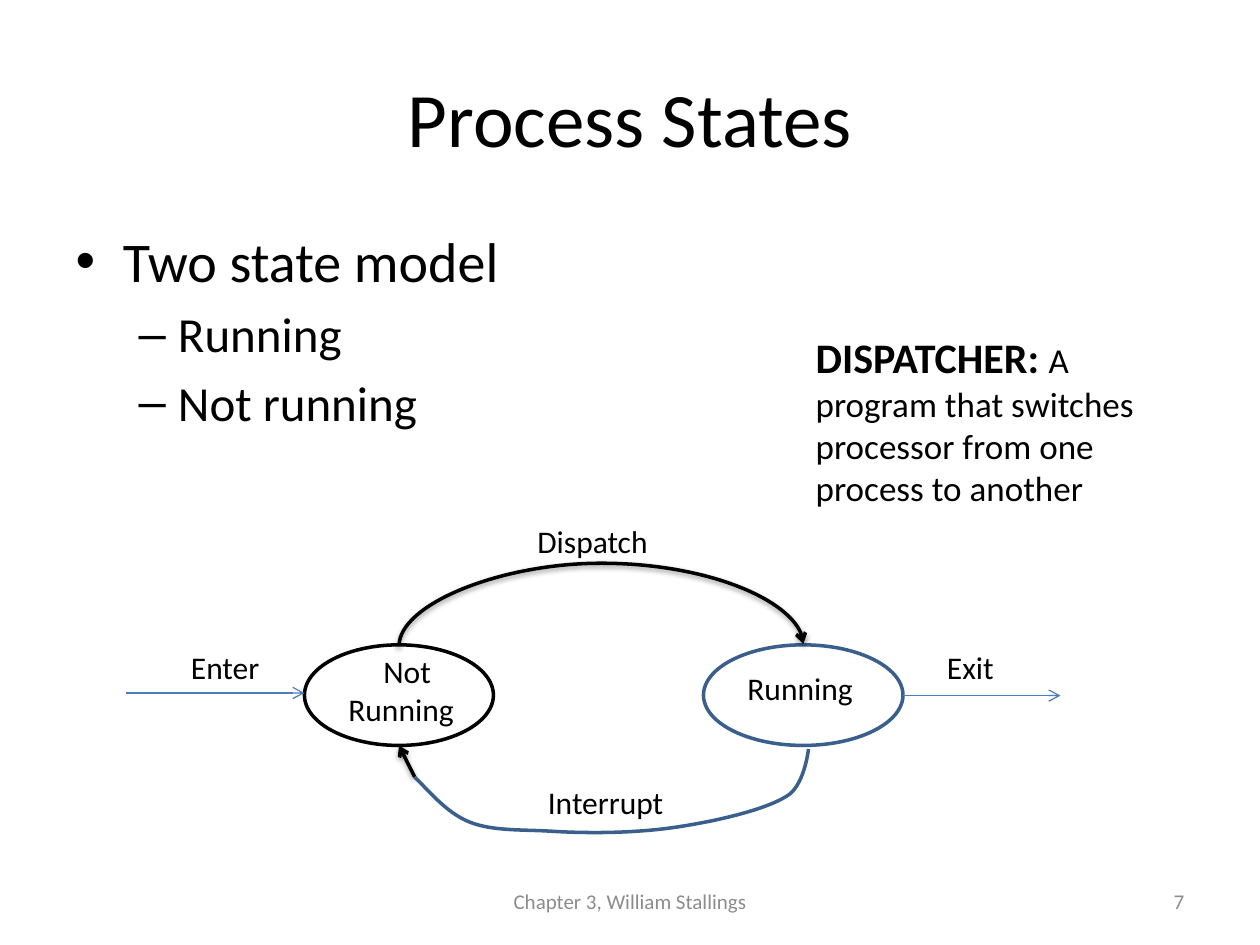
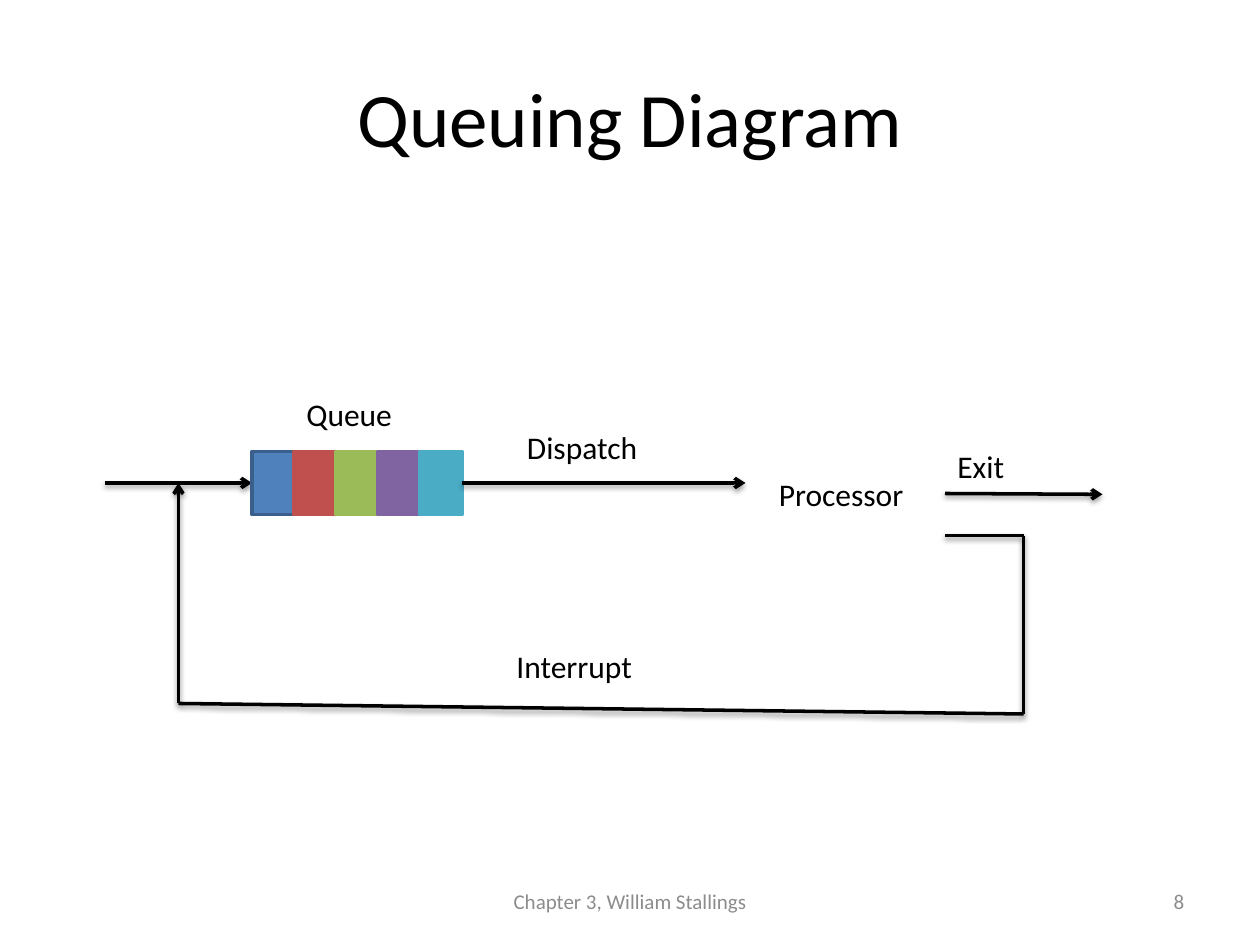
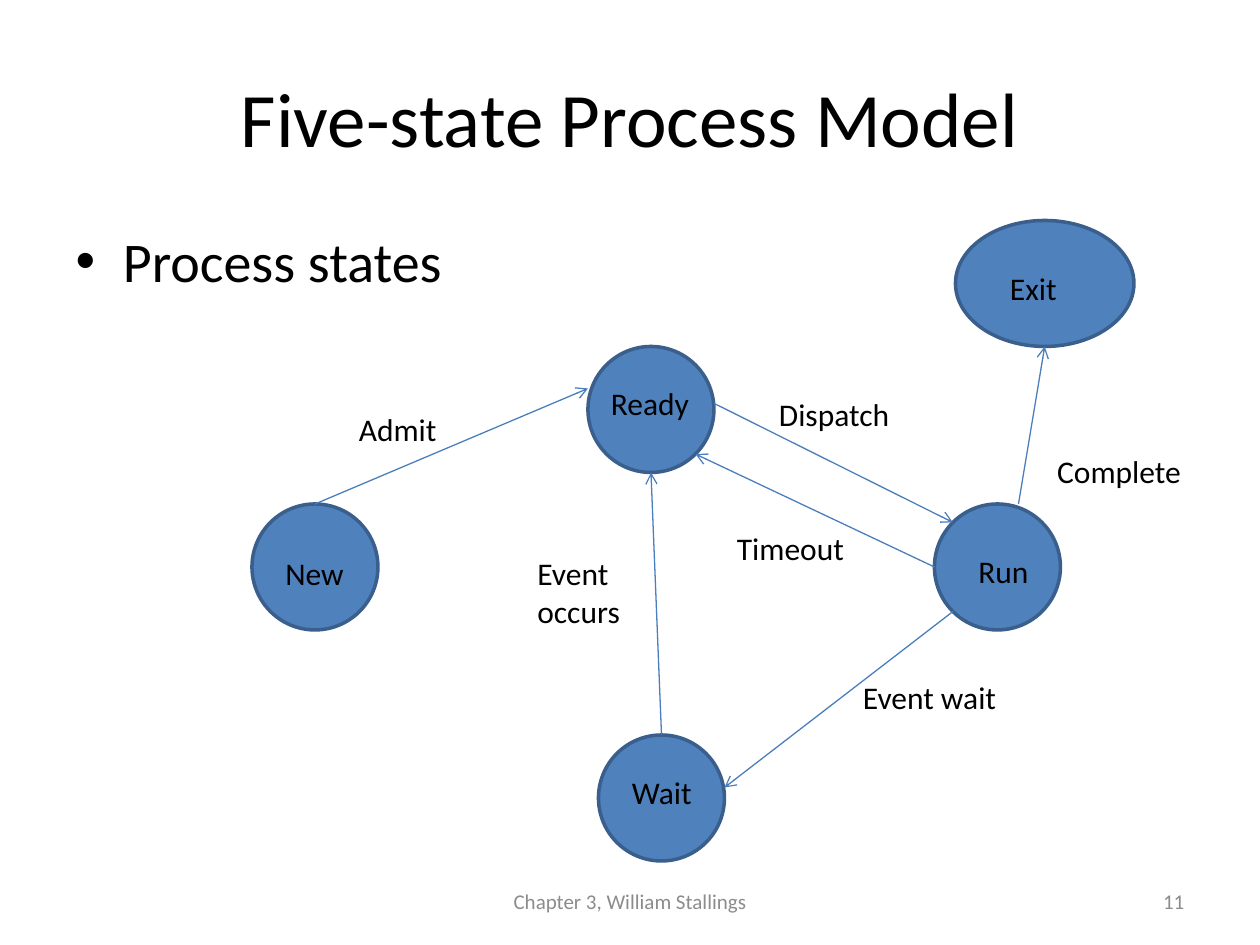
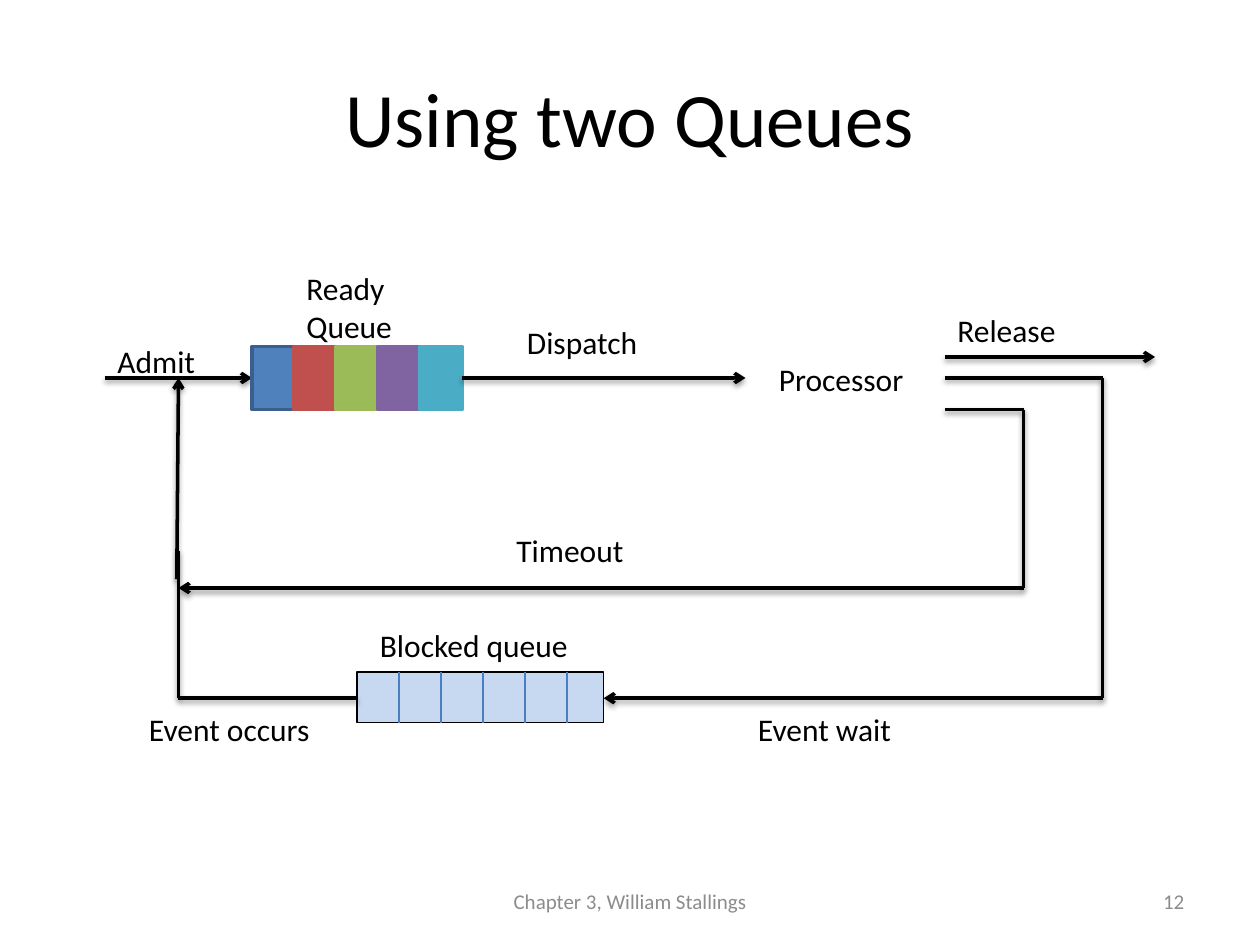
import copy

import lxml.etree
import pptx
import pptx.dml.color
import pptx.enum.shapes
import pptx.enum.text
import pptx.oxml
import pptx.oxml.ns
import pptx.util

Pt = pptx.util.Pt
RGBColor = pptx.dml.color.RGBColor
SHAPE = pptx.enum.shapes.MSO_SHAPE
CONNECTOR = pptx.enum.shapes.MSO_CONNECTOR
PLACEHOLDER = pptx.enum.shapes.PP_PLACEHOLDER
ALIGN = pptx.enum.text.PP_ALIGN
ANCHOR = pptx.enum.text.MSO_ANCHOR
qn = pptx.oxml.ns.qn

# Shared style
FONT = "Calibri"
FOOTER_TEXT = "Chapter 3, William Stallings"
BLACK = RGBColor(0x00, 0x00, 0x00)
WHITE = RGBColor(0xFF, 0xFF, 0xFF)
GREY = RGBColor(0x8C, 0x8C, 0x8C)
BLUE = RGBColor(0x4F, 0x81, 0xBD)
DARK_BLUE = RGBColor(0x3A, 0x5F, 0x8C)
LINE_BLUE = RGBColor(0x4B, 0x7E, 0xBC)
PALE_BLUE = RGBColor(0xC6, 0xD9, 0xF1)
RED = RGBColor(0xC0, 0x50, 0x4D)
GREEN = RGBColor(0x9B, 0xBB, 0x59)
PURPLE = RGBColor(0x80, 0x64, 0xA2)
AQUA = RGBColor(0x4B, 0xAC, 0xC6)

TITLE_AND_CONTENT, TITLE_ONLY = 1, 5
LABEL_HEIGHT, TWO_LINES = 29, 51
CELL_WIDTH, CELL_HEIGHT = 24, 36
BULLET_SIZES = (32, 28)

SHADOW = (
    '<a:effectLst %s><a:outerShdw blurRad="39370" dist="20320" dir="5400000" rotWithShape="0">'
    '<a:srgbClr val="000000"><a:alpha val="38000"/></a:srgbClr></a:outerShdw></a:effectLst>'
    % pptx.oxml.ns.nsdecls("a")
)


def place(shape, left, top, width, height):
    shape.left, shape.top = Pt(left), Pt(top)
    shape.width, shape.height = Pt(width), Pt(height)


def set_font(font, size, color=BLACK):
    font.name, font.size = FONT, Pt(size)
    font.color.rgb = color


def add_slide(presentation, layout_index, title, number):
    """Add a slide with its title, footer and slide number."""
    layout = presentation.slide_layouts[layout_index]
    slide = presentation.slides.add_slide(layout)
    slide.shapes.title.text = title
    place(slide.shapes.title, 36, 21.6, 648, 90)
    paragraph = slide.shapes.title.text_frame.paragraphs[0]
    paragraph.alignment = ALIGN.CENTER
    set_font(paragraph.font, 44)

    footers = {
        PLACEHOLDER.FOOTER: (FOOTER_TEXT, 246, 228, ALIGN.CENTER),
        PLACEHOLDER.SLIDE_NUMBER: (str(number), 516, 168, ALIGN.RIGHT),
    }
    for source in layout.placeholders:
        kind = source.placeholder_format.type
        if kind not in footers:
            continue
        text, left, width, alignment = footers[kind]
        slide.shapes._spTree.append(copy.deepcopy(source._element))
        footer = slide.shapes[-1]
        place(footer, left, 500.5, width, 28.75)
        footer.text_frame.text = text
        paragraph = footer.text_frame.paragraphs[0]
        paragraph.alignment = alignment
        set_font(paragraph.font, 12, GREY)
    return slide


def fill_body(slide, height, items):
    """Write (level, text) items into the body placeholder."""
    body = slide.placeholders[1]
    place(body, 36, 126, 648, height)
    frame = body.text_frame
    frame.text = "\n".join(text for level, text in items)
    frame.auto_size = pptx.enum.text.MSO_AUTO_SIZE.NONE
    for paragraph, (level, text) in zip(frame.paragraphs, items):
        paragraph.level = level
        set_font(paragraph.font, BULLET_SIZES[level])


def add_label(slide, text, left, top, width, height=LABEL_HEIGHT, indent=0):
    """Add a text box; indent moves the first line in."""
    label = slide.shapes.add_textbox(Pt(left), Pt(top), Pt(width), Pt(height))
    label.text_frame.word_wrap = True
    paragraph = label.text_frame.paragraphs[0]
    paragraph.text = text
    set_font(paragraph.font, 18)
    if indent:
        paragraph._p.get_or_add_pPr().set("indent", str(Pt(indent)))
    return label


def add_shape(slide, kind, left, top, width, height, fill, line, line_width=2):
    shape = slide.shapes.add_shape(kind, Pt(left), Pt(top), Pt(width), Pt(height))
    shape.shadow.inherit = False
    shape.fill.solid()
    shape.fill.fore_color.rgb = fill
    shape.line.color.rgb = line
    shape.line.width = Pt(line_width)
    return shape


def add_line(slide, start, end, heavy=False, arrow=True, kind=CONNECTOR.STRAIGHT):
    """Add a thin blue line, or a heavy black one with a shadow."""
    connector = slide.shapes.add_connector(kind, *(Pt(value) for value in start + end))
    connector.line.color.rgb = BLACK if heavy else LINE_BLUE
    connector.line.width = Pt(2 if heavy else 0.75)
    if arrow:
        line = connector.line._get_or_add_ln()
        lxml.etree.SubElement(line, qn("a:tailEnd"), type="arrow")
    properties = connector._element.spPr
    if heavy:
        properties.append(pptx.oxml.parse_xml(SHADOW))
    else:
        lxml.etree.SubElement(properties, qn("a:effectLst"))
    return connector


def add_route(slide, points, arrow=True):
    """Join points with heavy lines; the last one may carry the arrowhead."""
    last = len(points) - 2
    for index, (start, end) in enumerate(zip(points, points[1:])):
        add_line(slide, start, end, heavy=True, arrow=arrow and index == last)


def add_arc(slide, start_x, end_x, base, rise):
    """Add a curved arrow that rises from one state and falls to the next."""
    middle, half = (start_x + end_x) / 2, (end_x - start_x) / 2
    # Upright connector, one point wide, turned on its side
    arc = add_line(slide, (middle - 0.5, base - half), (middle + 0.5, base + half),
                   heavy=True, kind=CONNECTOR.CURVE)
    frame = arc._element.spPr.find(qn("a:xfrm"))
    for name, value in (("rot", "5400000"), ("flipH", "1"), ("flipV", "1")):
        frame.set(name, value)
    geometry = arc._element.spPr.find(qn("a:prstGeom"))
    adjustments = geometry.find(qn("a:avLst"))
    if adjustments is None:
        adjustments = lxml.etree.SubElement(geometry, qn("a:avLst"))
    lxml.etree.SubElement(adjustments, qn("a:gd"), name="adj1",
                          fmla="val %d" % (rise * 100000))


def add_curve(slide, start, points, color):
    """Add an open curve; every three points make one cubic segment."""
    builder = slide.shapes.build_freeform(*start, scale=Pt(1))
    builder.add_line_segments(points, close=False)
    curve = builder.convert_to_shape()
    curve.shadow.inherit = False
    curve.fill.background()
    curve.line.color.rgb = color
    curve.line.width = Pt(2)
    outline = next(curve._element.iter(qn("a:path")))
    segments = outline.findall(qn("a:lnTo"))
    for index in range(0, len(segments), 3):
        cubic = lxml.etree.SubElement(outline, qn("a:cubicBezTo"))
        for segment in segments[index:index + 3]:
            cubic.append(segment[0])
            outline.remove(segment)


def add_ready_queue(slide, axis, processor_top):
    """Draw the entry arrow, coloured queue, dispatch arrow and processor."""
    left = 144
    add_line(slide, (60, axis), (left, axis), heavy=True)
    borders = (DARK_BLUE, RED, GREEN, PURPLE, AQUA)
    for index, fill in enumerate((BLUE, RED, GREEN, PURPLE, AQUA)):
        add_shape(slide, SHAPE.RECTANGLE, left + index * CELL_WIDTH, axis - CELL_HEIGHT / 2,
                  CELL_WIDTH, CELL_HEIGHT, fill, borders[index])
    add_line(slide, (left + 5 * CELL_WIDTH, axis), (426, axis), heavy=True)
    add_label(slide, "Dispatch", 294, axis - 35, 84)
    processor = add_label(slide, "Processor", 426, processor_top, 114, 73, indent=12)
    processor.text_frame.vertical_anchor = ANCHOR.MIDDLE


def build_process_states(presentation):
    slide = add_slide(presentation, TITLE_AND_CONTENT, "Process States", 7)
    fill_body(slide, 150, [(0, "Two state model"), (1, "Running"), (1, "Not running")])

    # States
    add_shape(slide, SHAPE.OVAL, 402, 368.5, 114, 57.5, WHITE, DARK_BLUE)
    add_shape(slide, SHAPE.OVAL, 174, 368.5, 108, 57.5, WHITE, BLACK)
    add_label(slide, "Not Running", 192, 369, 90, TWO_LINES, indent=20)
    add_label(slide, "Running", 420, 379, 84)

    # Transitions
    add_label(slide, "Dispatch", 300, 295, 84)
    add_label(slide, "Interrupt", 306, 444, 102)
    add_label(slide, "Enter", 102, 367, 84)
    add_label(slide, "Exit", 534, 367, 48)
    add_line(slide, (72, 396), (174, 396))
    add_line(slide, (516, 397.5), (606, 397.5))
    add_arc(slide, 228, 459, base=368.5, rise=47.5)
    add_line(slide, (237, 444), (228, 426), heavy=True)
    add_curve(slide, (237, 444), [
        (247, 454), (256, 465), (269, 470),
        (282, 475), (299, 474), (315, 475),
        (331, 476), (349, 476), (364, 475),
        (380, 474), (392, 472), (407, 469),
        (421, 466), (441, 461), (451, 454),
        (460, 447), (462, 428), (462, 428),
    ], DARK_BLUE)

    # Definition
    definition = add_label(slide, "DISPATCHER: ", 459, 186, 201, 109)
    paragraph = definition.text_frame.paragraphs[0]
    set_font(paragraph.font, 20)
    term = paragraph.runs[0]
    term.font.size, term.font.bold = Pt(24), True
    meaning = paragraph.add_run()
    meaning.text = "A program that switches processor from one process to another"


def build_queuing_diagram(presentation):
    slide = add_slide(presentation, TITLE_ONLY, "Queuing Diagram", 8)
    add_ready_queue(slide, axis=276, processor_top=246)
    add_route(slide, [(540, 282), (630, 282.5)])
    add_route(slide, [(540, 306), (585, 306), (585, 408), (102, 402), (102, 276)])
    add_label(slide, "Queue", 168, 222, 72)
    add_label(slide, "Exit", 540, 252, 72)
    add_label(slide, "Interrupt", 288, 366, 90)


def build_five_states(presentation):
    slide = add_slide(presentation, TITLE_AND_CONTENT, "Five-state Process Model", 11)
    fill_body(slide, 348, [(0, "Process states")])

    # States
    for left, top, width in ((144, 288, 72), (336, 198, 72), (546, 126, 102),
                             (342, 420, 72), (534, 288, 72)):
        add_shape(slide, SHAPE.OVAL, left, top, width, 72, BLUE, DARK_BLUE)
    add_label(slide, "Exit", 546, 150, 102, indent=24)
    add_label(slide, "New", 156, 313, 54)
    add_label(slide, "Ready", 342, 216, 66)
    add_label(slide, "Run", 552, 312, 48)
    add_label(slide, "Wait", 354, 438, 54)

    # Transitions
    for start, end in (
        ((180, 288), (336, 222)),
        ((408, 230.5), (544.5, 298.5)),
        ((582, 288), (597, 198)),
        ((544.5, 349.5), (414, 450)),
        ((378, 420), (372, 270)),
        ((534, 324), (397.5, 259.5)),
    ):
        add_line(slide, start, end)
    add_label(slide, "Admit", 198, 231, 72)
    add_label(slide, "Dispatch", 438, 222, 106.5)
    add_label(slide, "Timeout", 414, 299, 102)
    add_label(slide, "Event wait", 486, 384, 96)
    add_label(slide, "Event occurs", 300, 313, 72, TWO_LINES)
    add_label(slide, "Complete", 597, 255, 93)


def build_two_queues(presentation):
    slide = add_slide(presentation, TITLE_ONLY, "Using two Queues", 12)
    add_ready_queue(slide, axis=216, processor_top=180)
    add_label(slide, "Admit", 60, 192, 75)
    add_label(slide, "Ready Queue", 168, 150, 72, TWO_LINES)

    # Release and timeout
    add_route(slide, [(540, 204), (660, 204)])
    add_route(slide, [(540, 234), (585, 234), (585, 336), (102, 336)])
    add_label(slide, "Release", 540, 174, 72)
    add_label(slide, "Timeout", 288, 300, 90)

    # Blocked queue
    left, top, width = 204, 384, 141
    add_shape(slide, SHAPE.RECTANGLE, left, top, width, LABEL_HEIGHT, PALE_BLUE, BLACK, 0.75)
    for index in range(1, 6):
        divider = left + index * CELL_WIDTH
        add_line(slide, (divider, top), (divider, top + LABEL_HEIGHT), arrow=False)
    add_label(slide, "Blocked queue", 210, 354, 132)

    # Waiting and returning
    add_route(slide, [(540, 216), (630, 216), (630, 399), (left + width, 399)])
    add_route(slide, [(left, 399), (102, 399), (102, 315)], arrow=False)
    add_route(slide, [(101, 331), (102, 216)])
    add_label(slide, "Event wait", 426, 402, 96)
    add_label(slide, "Event occurs", 78, 402, 114)


def main():
    presentation = pptx.Presentation()
    presentation.slide_width, presentation.slide_height = Pt(720), Pt(540)
    build_process_states(presentation)
    build_queuing_diagram(presentation)
    build_five_states(presentation)
    build_two_queues(presentation)
    presentation.save("out.pptx")


main()
